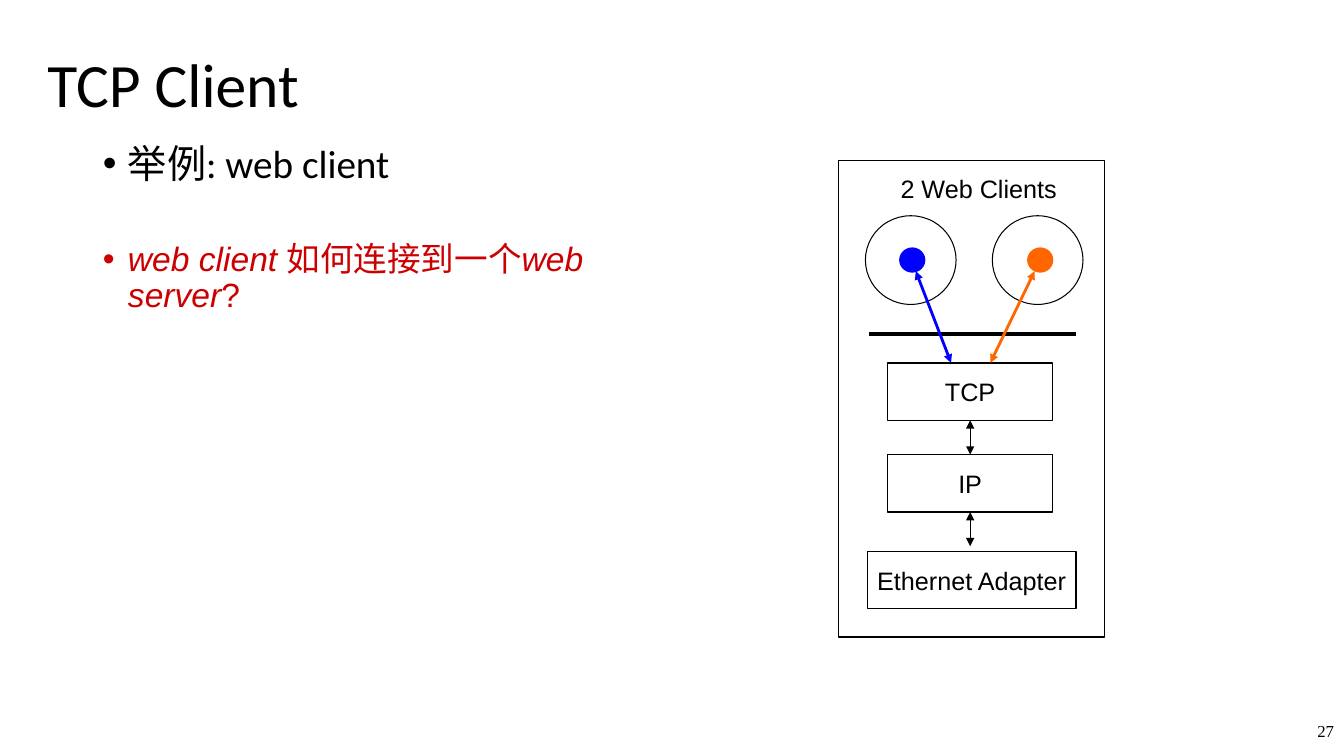
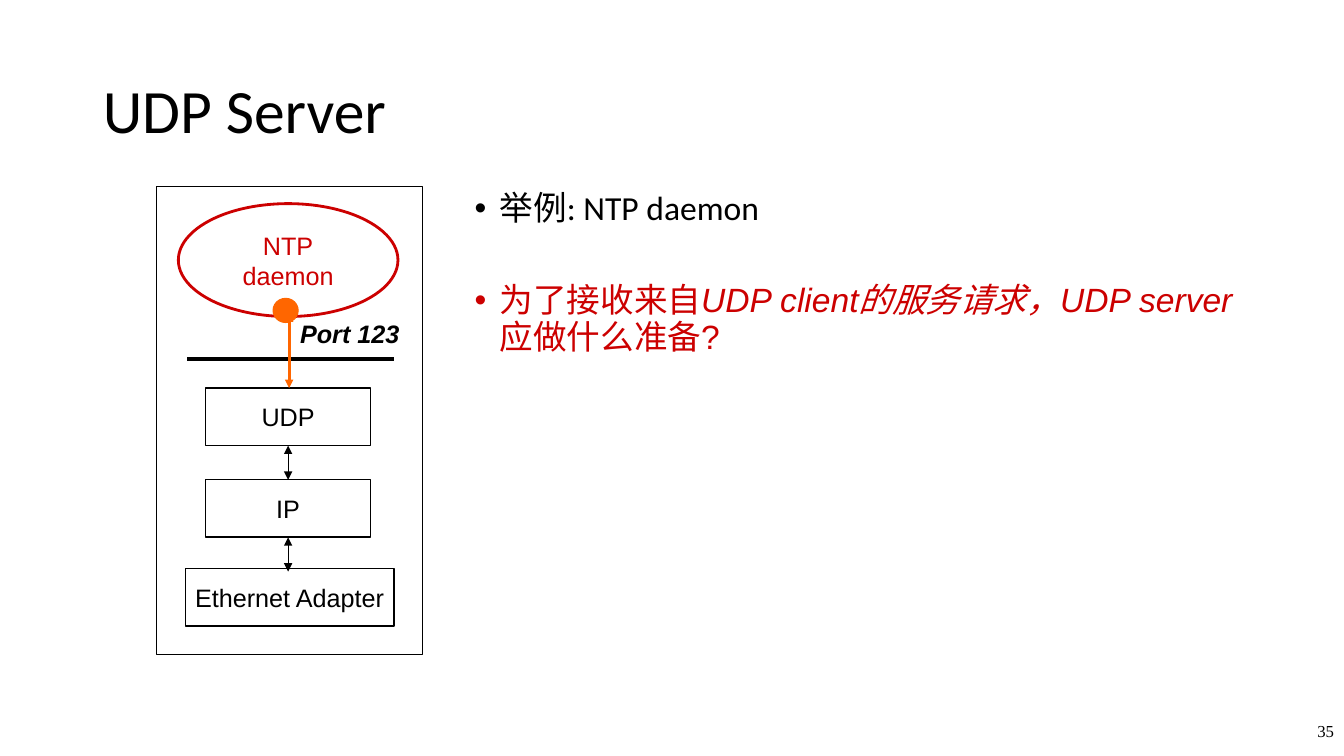
from lxml import etree
from pptx import Presentation
from pptx.dml.color import RGBColor
from pptx.enum.shapes import MSO_CONNECTOR, MSO_SHAPE
from pptx.enum.text import MSO_ANCHOR, MSO_AUTO_SIZE, PP_ALIGN
from pptx.oxml.ns import qn
from pptx.util import Pt

RECT, OVAL = MSO_SHAPE.RECTANGLE, MSO_SHAPE.OVAL
STRAIGHT = MSO_CONNECTOR.STRAIGHT
LEFT, CENTER, RIGHT = PP_ALIGN.LEFT, PP_ALIGN.CENTER, PP_ALIGN.RIGHT
TOP, MIDDLE = MSO_ANCHOR.TOP, MSO_ANCHOR.MIDDLE

EMU_PER_PX = 9144
COLORS = {"black": "000000", "red": "CC0000", "blue": "0000FF", "orange": "FF6600"}
TITLE = {"name": "Calibri", "size": 44}
LABEL = {"name": "Arial", "size": 18}
NUMBER = {"name": "Times New Roman", "size": 12}
QUESTION = {"name": "Arial", "size": 24, "color": "red"}
ITALIC = {**QUESTION, "italic": True}

SLIDES = [
    {
        "title": "TCP Client", "title_box": (37, 14, 1150, 145),
        "body_box": (92, 138, 517, 525), "number": "27",
        "bullets": [
            [("举例: web client", {"name": "Calibri", "size": 28})],
            [("web client ", ITALIC), ("如何连接到一个", QUESTION),
             ("web server", ITALIC), ("?", QUESTION)],
        ],
        "panel": (832, 159, 264, 473), "protocol": "TCP",
        "stack_top": 360, "adapter_top": 547,
        "processes": [((859, 214, 90, 88), "black", 0.75, []),
                      ((985, 214, 90, 88), "black", 0.75, [])],
        "sockets": [((893, 246), "blue", (909, 269, 944, 360)),
                    ((1020, 246), "orange", (1027, 269, 983, 360))],
        "caption": ("2 Web Clients", (884, 167, 176, 40), LABEL),
    },
    {
        "title": "UDP Server", "title_box": (92, 40, 1150, 145),
        "body_box": (461, 185, 781, 464), "number": "35",
        "bullets": [
            [("举例: NTP daemon", {"name": "Calibri", "size": 24})],
            [("为了接收来自", QUESTION),
             ("UDP client的服务请求，UDP server", ITALIC),
             ("应做什么准备?", QUESTION)],
        ],
        "panel": (155, 185, 264, 464), "protocol": "UDP",
        "stack_top": 385, "adapter_top": 564,
        "processes": [((177, 202, 218, 112), "red", 2, ["NTP", "daemon"])],
        "sockets": [((271, 296), "orange", (287, 311, 287, 385))],
        "caption": ("Port 123", (288, 311, 119, 40),
                    {**LABEL, "bold": True, "italic": True}),
    },
]


def px(*values):
    return [v * EMU_PER_PX for v in values]


def rgb(color):
    return RGBColor.from_string(COLORS[color])


def add_run(p, text, style):
    r = p.add_run()
    r.text = text
    for key, value in {"color": "black", **style}.items():
        if key == "color":
            r.font.color.rgb = rgb(value)
        else:
            setattr(r.font, key, Pt(value) if key == "size" else value)


def write(tf, lines, style, align=LEFT, anchor=MIDDLE, wrap=False):
    settings = {"word_wrap": wrap, "auto_size": MSO_AUTO_SIZE.NONE, "vertical_anchor": anchor}
    for key, value in settings.items():
        setattr(tf, key, value)
    for i, line in enumerate(lines):
        p = tf.add_paragraph() if i else tf.paragraphs[0]
        p.alignment = align
        add_run(p, line, style)


def place(shape, box):
    for key, value in zip(("left", "top", "width", "height"), px(*box)):
        setattr(shape, key, value)


def add_shape(s, kind, box, color="black", weight=0.75, filled=False, lines=()):
    sp = s.shapes.add_shape(kind, *px(*box))
    sp.shadow.inherit = False
    if filled:
        sp.fill.solid()
        sp.fill.fore_color.rgb = rgb(color)
    else:
        sp.fill.background()
    sp.line.color.rgb = rgb(color)
    sp.line.width = Pt(weight)
    if lines:
        write(sp.text_frame, lines, {**LABEL, "color": color}, CENTER)


def add_line(s, ends, color="black", weight=0.75, arrows=True):
    line = s.shapes.add_connector(STRAIGHT, *px(*ends))
    line.line.color.rgb = rgb(color)
    line.line.width = Pt(weight)
    if arrows:
        ln = line.line._get_or_add_ln()
        for tag in ("a:headEnd", "a:tailEnd"):
            etree.SubElement(ln, qn(tag), type="triangle")
    etree.SubElement(line._element.spPr, qn("a:effectLst"))


def add_text(s, text, box, style, align=LEFT, anchor=TOP):
    tf = s.shapes.add_textbox(*px(*box)).text_frame
    write(tf, [text], style, align, anchor)


def add_bullets(tf, bullets):
    tf.word_wrap = True
    tf.auto_size = MSO_AUTO_SIZE.NONE
    for i, runs in enumerate(bullets):
        p = tf.add_paragraph() if i else tf.paragraphs[0]
        pPr = p._p.get_or_add_pPr()
        pPr.set("marL", str(25 * EMU_PER_PX))
        pPr.set("indent", str(-25 * EMU_PER_PX))
        clr = etree.SubElement(pPr, qn("a:buClr"))
        etree.SubElement(clr, qn("a:srgbClr"), val=COLORS[runs[0][1].get("color", "black")])
        etree.SubElement(pPr, qn("a:buFont"), typeface="Arial")
        etree.SubElement(pPr, qn("a:buChar"), char="•")
        p.line_spacing = 0.9
        p.space_before = Pt(40 if i else 0)
        for text, style in runs:
            add_run(p, text, style)


def add_stack(s, data):
    left, top = data["panel"][0], data["stack_top"]
    box_w, box_h, pitch = 164, 57, 91
    box_left = left + 49
    middle = box_left + box_w // 2
    for i, name in enumerate((data["protocol"], "IP")):
        y = top + i * pitch
        add_shape(s, RECT, (box_left, y, box_w, box_h), weight=1, lines=[name])
        add_line(s, (middle, y + box_h, middle, y + pitch))
    add_shape(s, RECT, (left + 29, data["adapter_top"], 207, box_h),
              weight=1, lines=["Ethernet Adapter"])
    add_line(s, (left + 31, top - 29, left + 236, top - 29), weight=3, arrows=False)
    add_shape(s, RECT, data["panel"])


def add_slide(prs, data):
    s = prs.slides.add_slide(prs.slide_layouts[1])
    title, body = s.placeholders
    place(title, data["title_box"])
    write(title.text_frame, [data["title"]], TITLE, wrap=True)
    title.text_frame.paragraphs[0].line_spacing = 0.9
    place(body, data["body_box"])
    add_bullets(body.text_frame, data["bullets"])
    add_text(s, data["number"], (1267, 700, 67, 50), NUMBER, RIGHT, MIDDLE)
    add_stack(s, data)
    for box, color, weight, lines in data["processes"]:
        add_shape(s, OVAL, box, color, weight, lines=lines)
    for corner, color, ends in data["sockets"]:
        add_shape(s, OVAL, (*corner, 25, 24), color, filled=True)
        add_line(s, ends, color, 2)
    add_text(s, *data["caption"])


def main():
    prs = Presentation()
    prs.slide_width, prs.slide_height = px(1334, 750)
    for data in SLIDES:
        add_slide(prs, data)
    prs.save("out.pptx")


if __name__ == "__main__":
    main()
